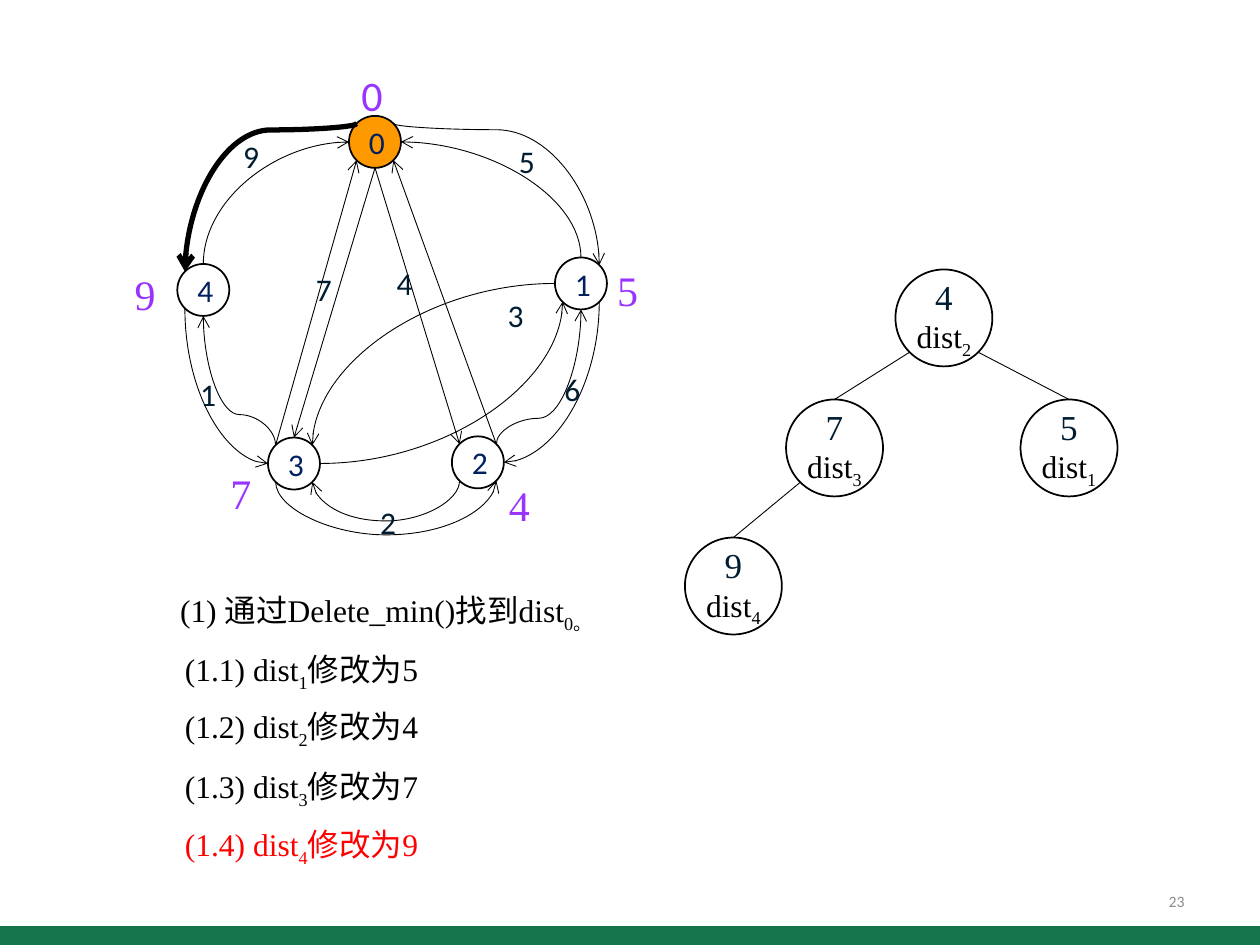
from lxml import etree
from pptx import Presentation
from pptx.dml.color import RGBColor
from pptx.enum.shapes import MSO_CONNECTOR, MSO_SHAPE
from pptx.enum.text import MSO_ANCHOR, PP_ALIGN
from pptx.oxml.ns import qn
from pptx.util import Pt

STRAIGHT, CURVE = MSO_CONNECTOR.STRAIGHT, MSO_CONNECTOR.CURVE
OVAL, BAR = MSO_SHAPE.OVAL, MSO_SHAPE.RECTANGLE
MIDDLE, CENTER, RIGHT = MSO_ANCHOR.MIDDLE, PP_ALIGN.CENTER, PP_ALIGN.RIGHT
BLACK = RGBColor(0, 0, 0)
RED = RGBColor(0xFF, 0, 0)
NAVY = RGBColor(0, 0x20, 0x60)
INK = RGBColor(0, 0x1C, 0x30)
PURPLE = RGBColor(0x99, 0x33, 0xFF)
ORANGE = RGBColor(0xFF, 0x99, 0)
GREEN = RGBColor(0x16, 0x75, 0x4D)
GRAY = RGBColor(0x8C, 0x8C, 0x8C)
SANS, SERIF = "Calibri", "Times New Roman"

# Graph: vertex -> centre
VERTEX_SIZE = 29.7
VERTICES = {"0": (214.3, 81.1), "4": (116.2, 165.7), "3": (168, 264.9),
            "2": (273.1, 264.2), "1": (332, 162)}
# (source, side) -> (target, side)
STRAIGHT_EDGES = [("0", "B", "2", "TL"), ("0", "B", "3", "T"),
                  ("3", "TL", "0", "BL"), ("2", "TR", "0", "BR")]
QUARTER_EDGES = [("4", "BL", "3", "L"), ("1", "BR", "2", "R"), ("1", "L", "3", "TR"),
                 ("3", "R", "1", "BL"), ("4", "T", "0", "L"), ("1", "T", "0", "R")]
# The same, with the height of the bend and the line width
BENT_EDGES = [("0", "TL", "4", "TL", 74.2, 3), ("0", "TR", "1", "TR", 74.2, 0.5),
              ("3", "BL", "2", "BR", 305.3, 0.5), ("2", "BL", "3", "BR", 297.4, 0.5),
              ("3", "TL", "4", "B", 236.9, 0.5), ("2", "TR", "1", "B", 239, 0.5)]
WEIGHTS = [("9", 131.8, 74.9), ("5", 289.4, 77.8), ("4", 219.6, 147.6),
           ("7", 173.5, 150.5), ("1", 107.3, 211), ("2", 210.2, 283.7),
           ("3", 283, 165.6), ("6", 315.4, 208.1)]
DISTANCES = [("0", 199.4, 36, SANS), ("5", 345.6, 147.6, SERIF), ("4", 283.7, 270.7, SERIF),
             ("7", 124.6, 263.5, SERIF), ("9", 69.8, 149.8, SERIF)]

# Heap: key -> (dist index, centre), then parent side -> child
HEAP_SIZE = 55.4
HEAP = {"4": ("2", (539.4, 181.7)), "7": ("3", (476.9, 256)),
        "9": ("4", (419.1, 334.9)), "5": ("1", (610.9, 256))}
HEAP_EDGES = [("4", "BL", "7"), ("4", "BR", "5"), ("7", "BL", "9")]

# Steps: text, subscript, rest, left, top, width, colour
STEPS = [("(1) 通过Delete_min()找到dist", "0。", "", 95.8, 334.1, 286.6, BLACK)] + [
    (f"(1.{i}) dist", str(i), f"修改为{value}", 98.6, top, 208.1, RED if i == 4 else BLACK)
    for i, value, top in [(1, 5, 367.9), (2, 4, 400.3), (3, 7, 434.9), (4, 9, 468)]]

prs = Presentation()
prs.slide_width, prs.slide_height = Pt(720), Pt(540)
slide = prs.slides.add_slide(prs.slide_layouts[6])
shapes = slide.shapes


def add_run(paragraph, text, size, font, color, subscript=False):
    run = paragraph.add_run()
    run.text = text
    run.font.size, run.font.name = Pt(size), font
    run.font.color.rgb = color
    if subscript:
        run._r.get_or_add_rPr().set("baseline", "-25000")


def add_box(left, top, width, height, wrap=False):
    frame = shapes.add_textbox(Pt(left), Pt(top), Pt(width), Pt(height)).text_frame
    frame.word_wrap = wrap
    return frame


def add_circle(center, size, fill=None):
    x, y = center
    circle = shapes.add_shape(OVAL, Pt(x - size / 2), Pt(y - size / 2), Pt(size), Pt(size))
    circle.shadow.inherit = False
    if fill is None:
        circle.fill.background()
    else:
        circle.fill.solid()
        circle.fill.fore_color.rgb = fill
    circle.line.color.rgb, circle.line.width = BLACK, Pt(1)
    frame = circle.text_frame
    frame.vertical_anchor = MIDDLE
    frame.paragraphs[0].alignment = CENTER
    return frame


def side_point(center, size, side):
    """Point on a circle at a side such as T, L or BR."""
    dx = ("R" in side) - ("L" in side)
    dy = ("B" in side) - ("T" in side)
    reach = size / 2 * (0.7071 if dx and dy else 1)
    return center[0] + dx * reach, center[1] + dy * reach


def add_link(kind, start, end, width=0.5, arrow=None):
    link = shapes.add_connector(kind, *(Pt(v) for v in (*start, *end)))
    link.line.color.rgb, link.line.width = BLACK, Pt(width)
    properties = link._element.spPr
    if arrow:
        etree.SubElement(properties.find(qn("a:ln")), qn("a:" + arrow), type="arrow")
    etree.SubElement(properties, qn("a:effectLst"))
    return properties


def edge_points(source, side, target, target_side):
    return (side_point(VERTICES[source], VERTEX_SIZE, side),
            side_point(VERTICES[target], VERTEX_SIZE, target_side))


# Footer bar and page number
footer = shapes.add_shape(BAR, 0, Pt(529.2), Pt(720), Pt(10.8))
footer.shadow.inherit = False
footer.fill.solid()
footer.fill.fore_color.rgb = GREEN
footer.line.fill.background()
page = add_box(516.2, 500.4, 167.8, 28.8, True)
page.vertical_anchor = MIDDLE
page.paragraphs[0].alignment = RIGHT
add_run(page.paragraphs[0], "23", 9, SANS, GRAY)

# Graph vertices
for name, center in VERTICES.items():
    frame = add_circle(center, VERTEX_SIZE, ORANGE if name == "0" else None)
    add_run(frame.paragraphs[0], name, 18, SANS, NAVY)

# Graph edges
for edge in STRAIGHT_EDGES:
    add_link(STRAIGHT, *edge_points(*edge), arrow="tailEnd")

for edge in QUARTER_EDGES:
    start, end = edge_points(*edge)
    # A quarter curve leaves horizontally, so it begins at the left or right side
    if edge[1] in ("L", "R"):
        properties = add_link(CURVE, start, end, arrow="tailEnd")
    else:
        properties = add_link(CURVE, end, start, arrow="headEnd")
    properties.find(qn("a:prstGeom")).set("prst", "curvedConnector2")

for *edge, bend, width in BENT_EDGES:
    start, end = edge_points(*edge)
    cx, cy = (start[0] + end[0]) / 2, (start[1] + end[1]) / 2
    # Turn the ends back a quarter, then rotate so the curve leaves vertically
    turned = [(cx + y - cy, cy - x + cx) for x, y in (start, end)]
    properties = add_link(CURVE, *turned, width, "tailEnd")
    properties.find(qn("a:xfrm")).set("rot", "5400000")
    adjust = round((bend - start[1]) / (end[1] - start[1]) * 100000)
    guides = properties.find(qn("a:prstGeom")).find(qn("a:avLst"))
    etree.SubElement(guides, qn("a:gd"), name="adj1", fmla=f"val {adjust}")

# Edge weights and distances
for text, left, top in WEIGHTS:
    add_run(add_box(left, top, 24.5, 28.8).paragraphs[0], text, 18, SANS, INK)
for text, left, top, font in DISTANCES:
    add_run(add_box(left, top, 27, 36).paragraphs[0], text, 24, font, PURPLE)

# Heap
for parent, side, child in HEAP_EDGES:
    add_link(STRAIGHT, side_point(HEAP[parent][1], HEAP_SIZE, side),
             side_point(HEAP[child][1], HEAP_SIZE, "T"))
for key, (index, center) in HEAP.items():
    frame = add_circle(center, HEAP_SIZE)
    frame.margin_left = frame.margin_right = frame.margin_top = frame.margin_bottom = 0
    entry = frame.paragraphs[0]
    add_run(entry, key, 20, SERIF, INK)
    entry.add_line_break()
    add_run(entry, "dist", 18, SERIF, BLACK)
    add_run(entry, index, 18, SERIF, BLACK, True)

# Steps
for lead, index, rest, left, top, width, color in STEPS:
    step = add_box(left, top, width, 28.8, True).paragraphs[0]
    add_run(step, lead, 18, SERIF, color)
    add_run(step, index, 18, SERIF, color, True)
    if rest:
        add_run(step, rest, 18, SERIF, color)

prs.save("out.pptx")
